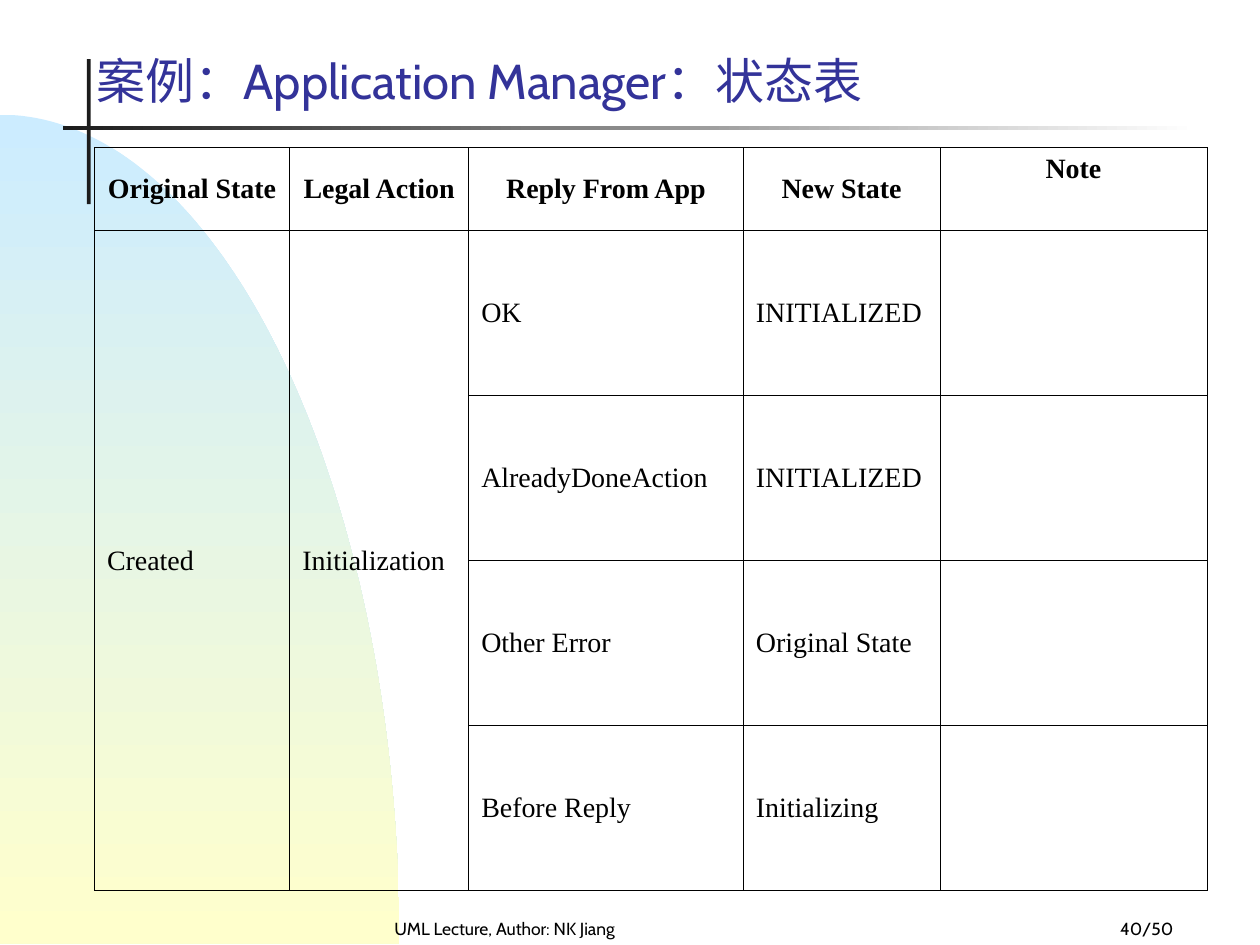
from dataclasses import dataclass

from lxml import etree
from pptx import Presentation
from pptx.dml.color import RGBColor
from pptx.enum import shapes, text
from pptx.oxml import ns
from pptx.util import Inches, Pt

BLACK = RGBColor(0x00, 0x00, 0x00)
WHITE = RGBColor(0xFF, 0xFF, 0xFF)
CHARCOAL = RGBColor(0x1C, 0x1C, 0x1C)
NAVY = RGBColor(0x33, 0x33, 0x99)
SKY = RGBColor(0xCC, 0xEC, 0xFF)
CREAM = RGBColor(0xFF, 0xFF, 0xCC)

LEFT, CENTER, RIGHT = text.PP_ALIGN.LEFT, text.PP_ALIGN.CENTER, text.PP_ALIGN.RIGHT
TOP, MIDDLE, BOTTOM = (text.MSO_ANCHOR.TOP, text.MSO_ANCHOR.MIDDLE,
                       text.MSO_ANCHOR.BOTTOM)

TITLE_FORMAT = {"size": Pt(28), "name": "Cabin"}
FOOTER_FORMAT = {"size": Pt(10), "name": "Cabin"}
HEADER_FORMAT = {"size": Pt(16), "name": "Times New Roman", "bold": True}
BODY_FORMAT = {**HEADER_FORMAT, "bold": False}


@dataclass
class Label:
    wording: str
    left: float
    top: float
    width: float
    height: float
    align: text.PP_ALIGN
    color: RGBColor
    font_format: dict


LABELS = [
    Label("UML Lecture, Author: NK Jiang", 2.42, 7.17, 3.17, 0.33,
          CENTER, BLACK, FOOTER_FORMAT),
    Label("40/50", 7.33, 7.17, 2.08, 0.33, RIGHT, BLACK, FOOTER_FORMAT),
    Label("案例：Application Manager：状态表", 0.67, 0.17, 7.08, 0.75,
          LEFT, NAVY, TITLE_FORMAT),
]

COLUMN_WIDTHS = [1.55, 1.42, 2.18, 1.56, 2.12]
ROW_HEIGHTS = [0.66] + [1.31] * 4
STATE_ROWS = [
    ["Original State", "Legal Action", "Reply From App", "New State", "Note"],
    ["Created", "Initialization", "OK", "INITIALIZED", ""],
    ["", "", "AlreadyDoneAction", "INITIALIZED", ""],
    ["", "", "Other Error", "Original State", ""],
    ["", "", "Before Reply", "Initializing", ""],
]


def set_gradient(shape, start: RGBColor, end: RGBColor, angle: float) -> None:
    shape.fill.gradient()
    shape.fill.gradient_angle = angle
    for stop, position, color in zip(shape.fill.gradient_stops, (0, 1), (start, end)):
        stop.position = position
        stop.color.rgb = color


def set_paragraph(paragraph, wording: str, align, color: RGBColor,
                  font_format: dict) -> None:
    paragraph.alignment = align
    run = paragraph.add_run()
    run.text = wording
    run.font.color.rgb = color
    for attribute, value in font_format.items():
        setattr(run.font, attribute, value)


def add_label(slide, label: Label) -> None:
    box = slide.shapes.add_textbox(Inches(label.left), Inches(label.top),
                                   Inches(label.width), Inches(label.height))
    box.text_frame.word_wrap = True
    box.text_frame.vertical_anchor = BOTTOM
    set_paragraph(box.text_frame.paragraphs[0], label.wording, label.align,
                  label.color, label.font_format)


def add_bar(slide, left: float, top: float, width: float, height: float):
    bar = slide.shapes.add_shape(shapes.MSO_SHAPE.RECTANGLE, Inches(left), Inches(top),
                                 Inches(width), Inches(height))
    bar.shadow.inherit = False
    bar.line.fill.background()
    return bar


def add_quarter_arc(slide, top: float, width: float, height: float,
                    steps: int = 90) -> None:
    # Cubic curve from the top left to the bottom right, closed at the corner
    bend = 0.55
    points = []
    for step in range(1, steps + 1):
        t = step / steps
        u = 1 - t
        x = width * (3 * u * u * t * bend + 3 * u * t * t + t ** 3)
        y = top + height * (3 * u * t * t * (1 - bend) + t ** 3)
        points.append((x, y))
    builder = slide.shapes.build_freeform(0, Inches(top))
    builder.add_line_segments(
        [(Inches(x), Inches(y)) for x, y in points + [(0, top + height)]], close=True)
    arc = builder.convert_to_shape()
    arc.shadow.inherit = False
    arc.line.fill.background()
    set_gradient(arc, SKY, CREAM, 270)


def set_borders(cell, color: RGBColor, width: float) -> None:
    properties = cell._tc.get_or_add_tcPr()
    for index, side in enumerate(("lnL", "lnR", "lnT", "lnB")):
        border = etree.Element(ns.qn(f"a:{side}"), w=str(Pt(width)))
        solid = etree.SubElement(border, ns.qn("a:solidFill"))
        etree.SubElement(solid, ns.qn("a:srgbClr"), val=str(color))
        properties.insert(index, border)


def add_state_table(slide) -> None:
    table = slide.shapes.add_table(
        len(ROW_HEIGHTS), len(COLUMN_WIDTHS), Inches(0.75), Inches(1.17),
        Inches(sum(COLUMN_WIDTHS)), Inches(sum(ROW_HEIGHTS))).table
    table.first_row = table.horz_banding = False
    for column, width in zip(table.columns, COLUMN_WIDTHS):
        column.width = Inches(width)
    for row, height in zip(table.rows, ROW_HEIGHTS):
        row.height = Inches(height)

    for r, wordings in enumerate(STATE_ROWS):
        for c, wording in enumerate(wordings):
            cell = table.cell(r, c)
            cell.fill.background()
            set_borders(cell, BLACK, 0.45)
            if not wording:
                continue
            cell.vertical_anchor = TOP if wording == "Note" else MIDDLE
            paragraph = cell.text_frame.paragraphs[0]
            set_paragraph(paragraph, wording, LEFT if r else CENTER, BLACK,
                          BODY_FORMAT if r else HEADER_FORMAT)
            indents = paragraph._p.get_or_add_pPr()
            indents.set("marL", str(Inches(0.38)))
            indents.set("indent", str(Inches(-0.38)))

    # State and action each cover all four replies
    for c in (0, 1):
        table.cell(1, c).merge(table.cell(len(ROW_HEIGHTS) - 1, c))


def main() -> None:
    deck = Presentation()
    deck.slide_width, deck.slide_height = Inches(10), Inches(7.5)
    slide = deck.slides.add_slide(deck.slide_layouts[6])

    # Background decoration
    add_quarter_arc(slide, 0.91, 3.17, 6.58)
    upright = add_bar(slide, 0.69, 0.47, 0.03, 1.15)
    upright.fill.solid()
    upright.fill.fore_color.rgb = CHARCOAL
    set_gradient(add_bar(slide, 0.5, 1, 9, 0.03), CHARCOAL, WHITE, 0)

    # Footer and title
    for label in LABELS:
        add_label(slide, label)

    # State table
    add_state_table(slide)

    deck.save("out.pptx")


if __name__ == "__main__":
    main()
